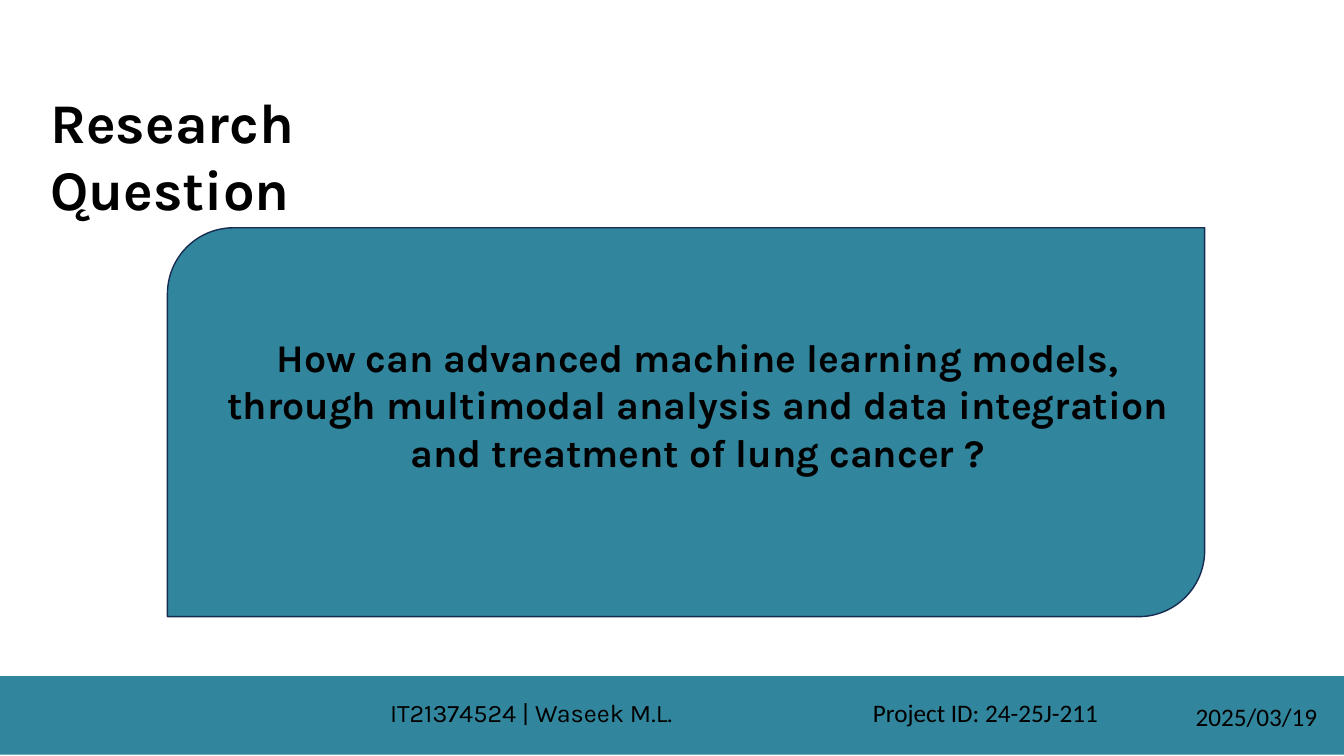
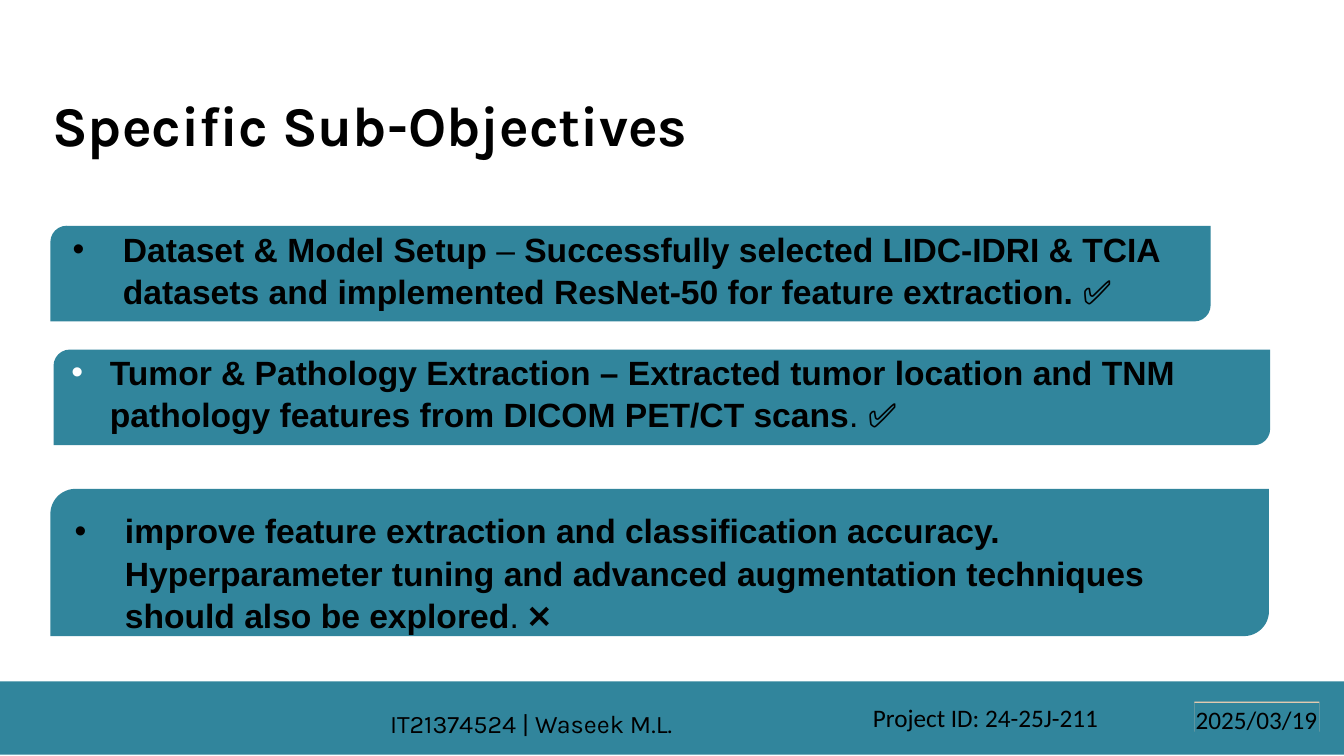
from pptx import Presentation
from pptx.dml.color import RGBColor
from pptx.enum.shapes import MSO_SHAPE as Kind
from pptx.enum.text import MSO_ANCHOR as Anchor, PP_ALIGN as Align
from pptx.oxml.ns import qn
from pptx.util import Cm, Pt
from lxml.etree import SubElement as Sub

WIDE, HIGH = 33.87, 19.05


def tint(code):
    return RGBColor.from_string(code)


class Deck:
    """Holds the shared style and the slide being built."""

    teal, ink, edge, peach, white = "31859C", "000000", "172C51", "FBD4B4", "FFFFFF"
    head, body, note = "Karla", "Arial", "Calibri"

    def __init__(self):
        self.prs = Presentation()
        self.prs.slide_width, self.prs.slide_height = Cm(WIDE), Cm(HIGH)

    def page(self, name, left, top, width):
        self.slide = self.prs.slides.add_slide(self.prs.slide_layouts[6])
        self.text([(name, True)], left, top, width, 1.75, 40, self.head)

    def block(self, kind, left, top, width, height, fill=teal, line=None):
        box = self.slide.shapes.add_shape(kind, Cm(left), Cm(top), Cm(width), Cm(height))
        box.shadow.inherit = False
        box.fill.solid()
        box.fill.fore_color.rgb = tint(fill)
        if line:
            box.line.color.rgb = tint(line)
            box.line.width = Pt(1)
        else:
            box.line.fill.background()
        return box

    def card(self, left, top, width, height, curve=0.17, line=None):
        box = self.block(Kind.ROUND_2_DIAG_RECTANGLE, left, top, width, height, line=line)
        box.adjustments[0] = curve

    def text(self, runs, left, top, width, height, size, font, align=Align.LEFT):
        box = self.slide.shapes.add_textbox(Cm(left), Cm(top), Cm(width), Cm(height))
        frame = box.text_frame
        frame.word_wrap = True
        frame.vertical_anchor = Anchor.TOP
        frame.margin_left = frame.margin_right = frame.margin_bottom = 0
        frame.margin_top = Cm(0.03)
        para = frame.paragraphs[0]
        para.alignment = align
        for words, bold in runs:
            run = para.add_run()
            run.text = words
            run.font.size, run.font.name, run.font.bold = Pt(size), font, bold
            run.font.color.rgb = tint(self.ink)
        return para

    def point(self, runs, top, height, indent, hang, dot):
        para = self.text(runs, 1.8, top, 29.74, height, 24, self.body)
        props = para._p.get_or_add_pPr()
        props.set("marL", str(Cm(indent)))
        props.set("indent", str(-Cm(hang)))
        Sub(Sub(props, qn("a:buClr")), qn("a:srgbClr"), val=dot)
        Sub(props, qn("a:buFont"), typeface=self.body)
        Sub(props, qn("a:buChar"), char="•")
        para.line_spacing = 1.05

    def foot(self, top, tops, lip=False):
        self.block(Kind.RECTANGLE, 0, top, WIDE, 19.02 - top)
        if lip:
            self.block(Kind.RECTANGLE, 30.1, 17.68, 3.15, 0.76, self.peach)
            self.block(Kind.RECTANGLE, 30.1, 17.71, 3.15, 0.76)
        labels = [("IT21374524 | Waseek M.L.", 9.83, 9.78, self.head),
                  ("Project ID: 24-25J-211", 22, 6.12, self.note),
                  ("2025/03/19", 30.13, 3.3, self.note)]
        for (words, left, width, font), spot in zip(labels, tops):
            self.text([(words, False)], left, spot, width, 0.76, 18, font)


def main():
    deck = Deck()

    deck.page("Research Ǫuestion", 1.27, 2.18, 12.29)
    deck.card(4.22, 5.74, 26.14, 9.8, line=deck.edge)
    deck.text([("How can advanced machine learning models, through multimodal analysis "
                "and data integration and treatment of lung cancer ?", True)],
              5.56, 8.38, 24.03, 4.85, 28, deck.head, Align.CENTER)
    deck.foot(17.04, (17.53, 17.53, 17.65))

    deck.page("Specific Sub-Objectives", 1.32, 2.24, 24.77)
    deck.card(1.27, 5.69, 29.24, 2.41)
    deck.card(1.35, 8.81, 30.66, 2.41)
    deck.card(1.27, 12.32, 30.71, 3.71)
    deck.point([("Dataset & Model Setup", True), (" –", False),
                (" Successfully selected LIDC-IDRI & TCIA datasets and implemented "
                 "ResNet-50 for feature extraction. ", True), ("✅", False)],
               5.69, 2.41, 1.3, 1.27, deck.ink)
    deck.point([("Tumor & Pathology Extraction – Extracted tumor location and TNM "
                 "pathology features from DICOM PET/CT scans", True), (". ✅", False)],
               8.78, 2.41, 0.97, 0.97, deck.white)
    deck.point([("improve feature extraction and classification accuracy. "
                 "Hyperparameter tuning and advanced augmentation techniques should "
                 "also be explored", True), (". ❌", False)],
               12.78, 3.2, 1.35, 1.27, deck.ink)
    deck.foot(17.17, (17.83, 17.68, 17.71), lip=True)

    deck.prs.save("out.pptx")


if __name__ == "__main__":
    main()
